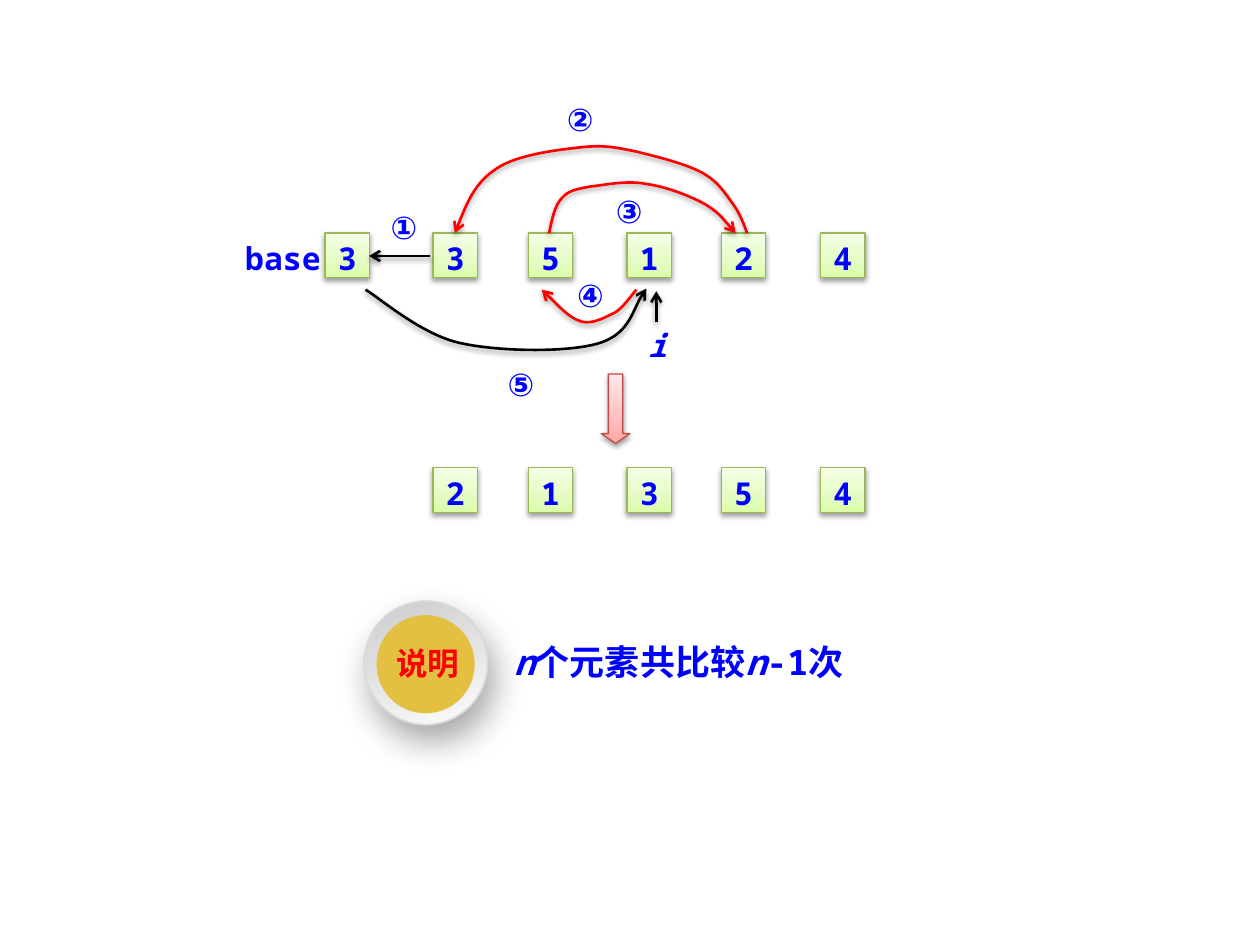
from lxml.etree import SubElement
from pptx import Presentation
from pptx.dml.color import RGBColor
from pptx.enum.shapes import MSO_CONNECTOR as Connector, MSO_SHAPE as Shape
from pptx.enum.text import MSO_ANCHOR as Anchor, PP_ALIGN as Align
from pptx.oxml.ns import qn
from pptx.util import Cm, Pt

COLORS = {"text": "0000FF", "alert": "FF0000", "black": "000000", "white": "FFFFFF",
          "cell_edge": "98B955", "arrow_edge": "BF4C48", "ring_edge": "D9D9D9", "gold": "E3BF42"}
GREEN = [(0, "DAFDA7"), (35, "E4FCC2"), (100, "F5FFE7")]
PINK = [(0, "FFA6A5"), (35, "FFC0BF"), (100, "FFE7E7")]
GRAY = [(0, "CCCCCC"), (100, "FCFCFC")]
SOFT_SHADOW = {"alpha": 38, "blur": 3.1, "distance": 1.6, "angle": 90}
DEEP_SHADOW = {"alpha": 34, "blur": 20, "distance": 10, "angle": 70}

COLUMNS = [8.73, 10.65, 12.64, 14.54, 16.54]
BASE_LEFT, CELL_SIZE = 6.55, 0.9
BEFORE_TOP, AFTER_TOP = 4.7, 9.43
STEPS = [("①", 7.75, 4.17), ("②", 11.3, 1.98), ("③", 12.29, 3.84),
         ("④", 11.51, 5.54), ("⑤", 10.11, 7.32)]
MOVES = [
    ("alert", [(15.06, 4.7), (14.99, 4.5), (14.91, 4.29), (14.76, 4.09),
               (14.61, 3.89), (14.48, 3.66), (14.15, 3.48),
               (13.82, 3.3), (13.21, 3.15), (12.8, 3.05),
               (12.4, 2.97), (12.17, 2.92), (11.71, 2.97),
               (11.25, 3.02), (10.41, 3.12), (10.01, 3.4),
               (9.58, 3.68), (9.37, 4.19), (9.17, 4.7)]),
    ("alert", [(11.07, 4.7), (11.13, 4.42), (11.18, 4.14), (11.33, 3.99),
               (11.46, 3.84), (11.63, 3.81), (11.91, 3.76),
               (12.19, 3.73), (12.65, 3.63), (13.03, 3.71),
               (13.41, 3.76), (13.89, 3.94), (14.2, 4.11),
               (14.5, 4.29), (14.71, 4.57), (14.83, 4.7)]),
    ("alert", [(12.83, 5.84), (12.75, 5.92), (12.57, 6.2), (12.4, 6.3),
               (12.19, 6.4), (11.94, 6.55), (11.71, 6.48),
               (11.46, 6.4), (11.07, 5.97), (10.92, 5.84)]),
    ("black", [(7.37, 5.84), (7.67, 6.02), (8.48, 6.73), (9.25, 6.91),
               (10.03, 7.09), (11.4, 7.11), (12.04, 6.93),
               (12.65, 6.76), (12.83, 6.05), (13.03, 5.82)]),
]


class PartitionSlide:
    """Holds the style and the slide, and draws each kind of element."""

    mono, cjk = "Noto Sans Mono", "Noto Sans CJK SC"

    def __init__(self, slide):
        self.slide = slide

    def color(self, name):
        return RGBColor.from_string(COLORS[name])

    def add_text(self, paragraph, text, color="text", **formats):
        run = paragraph.add_run()
        run.text = text
        values = {"name": self.mono, "size": Pt(18), "bold": True, "italic": False, **formats}
        for name, value in values.items():
            setattr(run.font, name, value)
        run.font.color.rgb = self.color(color)
        SubElement(run.font._element, qn("a:ea"), typeface=self.cjk)

    def shadow(self, shape, alpha=0, blur=0, distance=0, angle=0):
        effects = SubElement(shape._element.spPr, qn("a:effectLst"))
        if alpha:
            outer = SubElement(effects, qn("a:outerShdw"), blurRad=str(Pt(blur)),
                               dist=str(Pt(distance)), dir=str(angle * 60000), rotWithShape="0")
            black = SubElement(outer, qn("a:srgbClr"), val=COLORS["black"])
            SubElement(black, qn("a:alpha"), val=str(alpha * 1000))

    def gradient(self, shape, stops, angle):
        shape.fill.gradient()
        shape.fill.gradient_angle = 360 - angle
        stop_list = shape._element.spPr.find(qn("a:gradFill")).find(qn("a:gsLst"))
        stop_list.clear()
        for position, color in stops:
            stop = SubElement(stop_list, qn("a:gs"), pos=str(position * 1000))
            SubElement(stop, qn("a:srgbClr"), val=color)

    def shape(self, kind, left, top, width, height, fill, edge=None, weight=0.75,
              angle=270, shadow=None):
        shape = self.slide.shapes.add_shape(kind, Cm(left), Cm(top), Cm(width), Cm(height))
        if isinstance(fill, str):
            shape.fill.solid()
            shape.fill.fore_color.rgb = self.color(fill)
        else:
            self.gradient(shape, fill, angle)
        if edge:
            shape.line.color.rgb = self.color(edge)
            shape.line.width = Pt(weight)
        else:
            shape.line.fill.background()
        self.shadow(shape, **(shadow or {}))
        return shape

    def caption(self, shape, text, top_margin=0, **formats):
        frame = shape.text_frame
        values = {"margin_left": 0, "margin_right": 0, "margin_top": Cm(top_margin),
                  "margin_bottom": 0, "vertical_anchor": Anchor.MIDDLE, "word_wrap": True}
        for name, value in values.items():
            setattr(frame, name, value)
        frame.paragraphs[0].alignment = Align.CENTER
        self.add_text(frame.paragraphs[0], text, **formats)

    def label(self, text, left, top, width=0.79, height=0.82, **formats):
        shape = self.shape(Shape.RECTANGLE, left, top, width, height, "white")
        self.caption(shape, text, **formats)

    def cell(self, text, left, top):
        shape = self.shape(Shape.RECTANGLE, left, top, CELL_SIZE, CELL_SIZE, GREEN,
                           "cell_edge", shadow=SOFT_SHADOW)
        self.caption(shape, text, top_margin=0.1)

    def arrow_style(self, shape, color):
        shape.line.color.rgb = self.color(color)
        shape.line.width = Pt(1.5)
        line = shape._element.spPr.find(qn("a:ln"))
        SubElement(line, qn("a:tailEnd"), type="arrow")
        self.shadow(shape, **SOFT_SHADOW)

    def arrow(self, *ends):
        self.arrow_style(self.slide.shapes.add_connector(Connector.STRAIGHT, *map(Cm, ends)), "black")

    def curve(self, color, points):
        start, *rest = [(Cm(x), Cm(y)) for x, y in points]
        builder = self.slide.shapes.build_freeform(*start)
        builder.add_line_segments(rest, close=False)
        shape = builder.convert_to_shape()
        shape.fill.background()
        outline = next(shape._element.spPr.iter(qn("a:path")))
        segments = outline.findall(qn("a:lnTo"))
        for first in range(0, len(segments), 3):
            bezier = SubElement(outline, qn("a:cubicBezTo"))
            for segment in segments[first:first + 3]:
                bezier.append(segment[0])
                outline.remove(segment)
        self.arrow_style(shape, color)

    def text_box(self, left, top, width, height, runs, wrap=True, **formats):
        box = self.slide.shapes.add_textbox(Cm(left), Cm(top), Cm(width), Cm(height))
        box.text_frame.word_wrap = wrap
        paragraph = box.text_frame.paragraphs[0]
        for name, value in formats.items():
            setattr(paragraph, name, value)
        for text, font in runs:
            self.add_text(paragraph, text, **font)


def main():
    presentation = Presentation()
    presentation.slide_width, presentation.slide_height = Cm(25.4), Cm(19.05)
    page = PartitionSlide(presentation.slides.add_slide(presentation.slide_layouts[6]))

    for step in STEPS:
        page.label(*step)
    page.label("base", 4.75, 4.8, width=1.91)
    page.label("i", 13.06, 6.58, width=0.38, height=0.76, italic=True)

    page.cell("3", BASE_LEFT, BEFORE_TOP)
    for values, top in (("35124", BEFORE_TOP), ("21354", AFTER_TOP)):
        for value, left in zip(values, COLUMNS):
            page.cell(value, left, top)

    page.arrow(8.66, 5.16, 7.44, 5.16)
    page.arrow(13.23, 6.5, 13.23, 5.87)
    for color, points in MOVES:
        page.curve(color, points)
    down = page.shape(Shape.DOWN_ARROW, 12.12, 7.54, 0.58, 1.4, PINK, "arrow_edge",
                      shadow=SOFT_SHADOW)
    down.adjustments[0], down.adjustments[1] = 0.5, 0.34

    upright, slanted = {"size": Pt(20)}, {"size": Pt(20), "italic": True}
    page.text_box(10.11, 12.57, 8.18, 1.22,
                  [("n", slanted), ("个元素共比较", upright), ("n", slanted), ("-1次", upright)],
                  line_spacing=Pt(30))
    page.shape(Shape.OVAL, 7.34, 12.12, 2.49, 2.49, GRAY, "ring_edge", 1, 70, DEEP_SHADOW)
    page.shape(Shape.OVAL, 7.59, 12.4, 1.98, 1.98, "gold")
    page.text_box(7.72, 13, 1.8, 0.86, [("说明", {"name": page.cjk, "color": "alert"})],
                  wrap=False, alignment=Align.CENTER, line_spacing=0.8)

    presentation.save("out.pptx")


if __name__ == "__main__":
    main()
